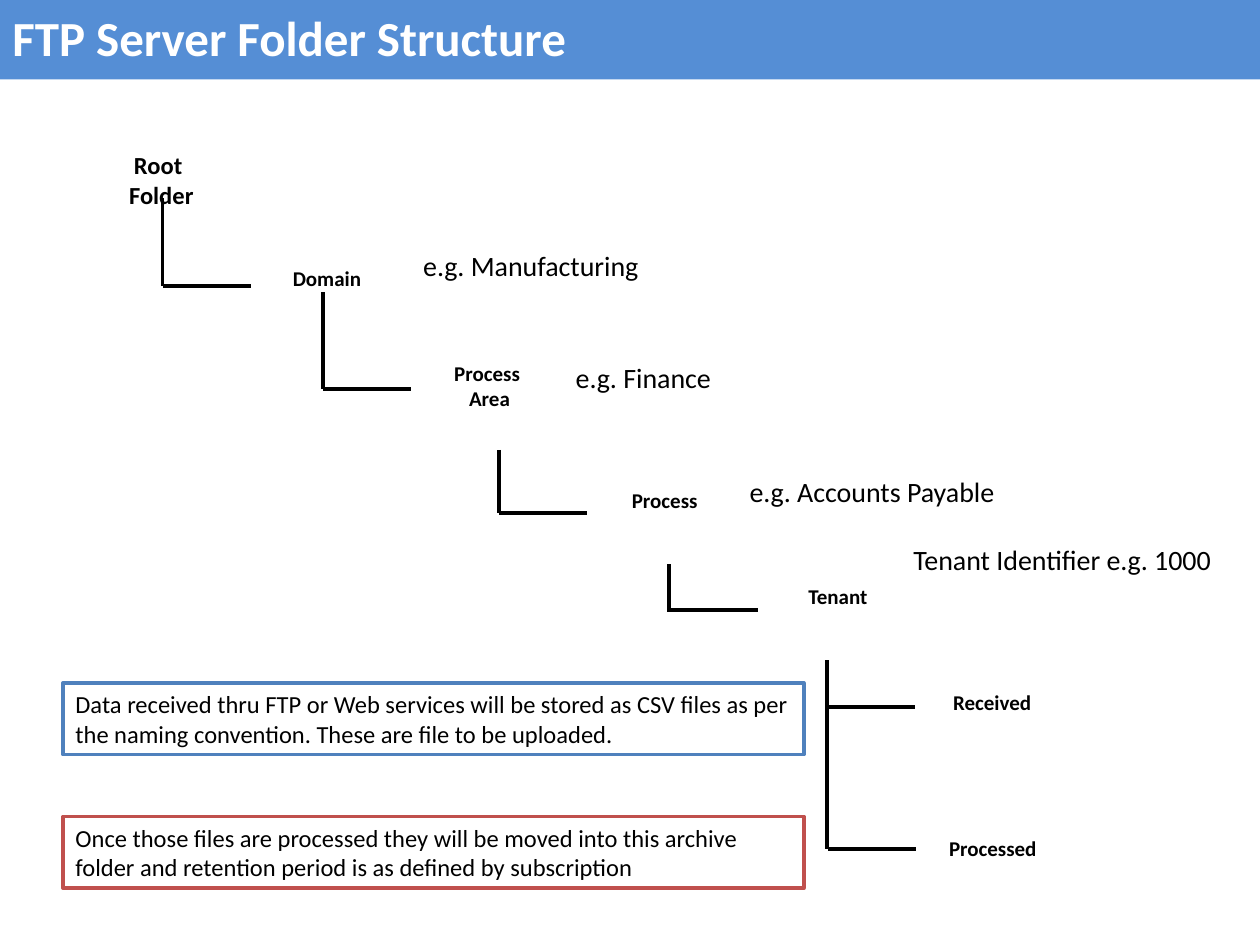
from dataclasses import dataclass

from lxml.etree import SubElement
from pptx import Presentation
from pptx.dml.color import RGBColor
from pptx.enum.shapes import MSO_CONNECTOR as Connector, MSO_SHAPE as Shape
from pptx.enum.text import MSO_ANCHOR as Anchor, PP_ALIGN as Align
from pptx.oxml.ns import qn
from pptx.util import Inches, Pt

# The slide is a grid of square cells
COLUMNS, ROWS = 100, 75
CELL = Inches(0.1)
ARM = 7  # columns spanned by each horizontal branch
FONT = "Calibri"
BLACK, WHITE, BLUE, RED, BANNER = "000000", "FFFFFF", "4F81BD", "C0504D", "558ED5"


@dataclass
class Box:
    text: str
    column: float
    row: float
    width: float
    height: float


@dataclass
class Branch:
    """A vertical stem with horizontal arms, each a (column, row) start."""
    column: float
    top: float
    bottom: float
    arms: list[tuple[float, float]]


def cells(*counts: float) -> list[int]:
    return [round(count * CELL) for count in counts]


def color(value: str) -> RGBColor:
    return RGBColor.from_string(value)


def write(shape, text: str, size: float, text_color: str = BLACK,
          bold: bool = False, align=Align.LEFT, wrap: bool = True) -> None:
    frame = shape.text_frame
    frame.text = text
    frame.word_wrap = wrap
    for paragraph in frame.paragraphs:
        paragraph.alignment = align
        for run in paragraph.runs:
            run.font.name, run.font.size, run.font.bold = FONT, Pt(size), bold
            run.font.color.rgb = color(text_color)


def draw_text(slide, box: Box):
    return slide.shapes.add_textbox(
        *cells(box.column, box.row, box.width, box.height))


def draw_label(slide, box: Box, size: float = 12):
    shape = draw_text(slide, box)
    write(shape, box.text, size, bold=True, align=Align.CENTER, wrap=False)
    return shape


def draw_rectangle(slide, box: Box, fill: str, line: str | None = None):
    shape = slide.shapes.add_shape(
        Shape.RECTANGLE, *cells(box.column, box.row, box.width, box.height))
    shape.shadow.inherit = False
    shape.fill.solid()
    shape.fill.fore_color.rgb = color(fill)
    if line:
        shape.line.color.rgb = color(line)
        shape.line.width = Pt(2)
    else:
        shape.line.fill.background()
    return shape


def draw_line(slide, *ends: float) -> None:
    line = slide.shapes.add_connector(Connector.STRAIGHT, *cells(*ends))
    line.line.color.rgb = color(BLACK)
    line.line.width = Pt(2.25)
    SubElement(line._element.spPr, qn("a:effectLst"))


def draw_branch(slide, branch: Branch) -> None:
    draw_line(slide, branch.column, branch.top, branch.column, branch.bottom)
    for column, row in branch.arms:
        draw_line(slide, column, row, column + ARM, row)


ROOT = Box("Root\nFolder", 9.2, 11.1, 7.2, 6.1)
FOLDERS = [
    Box("Domain", 22.2, 20.6, 7.5, 3),
    Box("Process \nArea", 35, 28.1, 7.7, 5.6),
    Box("Process ", 49.1, 38.2, 7.7, 3),
    Box("Tenant", 63.1, 45.8, 6.8, 3.1),
    Box("Received", 74.6, 54.2, 8.3, 3),
    Box("Processed", 74.3, 65.8, 9, 3),
]
BRANCHES = [
    Branch(12.9, 15.7, 22.7, [(12.9, 22.7)]),
    Branch(25.6, 23.2, 30.9, [(25.6, 30.9)]),
    Branch(39.6, 35.7, 40.7, [(39.6, 40.7)]),
    Branch(53.1, 44.8, 48.6, [(53.2, 48.4)]),
    Branch(65.6, 52.4, 67.4, [(65.6, 56.1), (65.7, 67.4)]),
]
EXAMPLES = [
    Box("e.g. Manufacturing", 32.6, 19.2, 24.2, 3.7),
    Box("e.g. Finance", 44.7, 28.1, 24.2, 3.7),
    Box("e.g. Accounts Payable", 58.5, 37.2, 24.2, 3.7),
    Box("Tenant Identifier e.g. 1000", 71.5, 42.6, 28.5, 3.7),
]
NOTES = [
    (Box("Data received thru FTP or Web services will be stored as CSV files as "
         "per the naming convention. These are file to be uploaded.",
         5, 54.2, 58.8, 5.7), BLUE),
    (Box("Once those files are processed they will be moved into this archive "
         "folder and retention period is as defined by subscription",
         5, 64.8, 58.8, 5.7), RED),
]


def main() -> None:
    presentation = Presentation()
    presentation.slide_width, presentation.slide_height = cells(COLUMNS, ROWS)
    slide = presentation.slides.add_slide(presentation.slide_layouts[6])

    # Title banner
    title = Box("FTP Server Folder Structure", 0, -0.4, COLUMNS, 6.7)
    banner = draw_rectangle(slide, title, BANNER)
    write(banner, title.text, 28, WHITE, bold=True)
    banner.text_frame.vertical_anchor = Anchor.MIDDLE

    # Folder tree
    for branch in BRANCHES:
        draw_branch(slide, branch)
    root = draw_label(slide, ROOT, 14)
    space = root.text_frame.paragraphs[0].add_run()
    space.text = " "
    space.font.name, space.font.size = FONT, Pt(16)
    for folder in FOLDERS:
        draw_label(slide, folder)

    # Example names beside the folders
    for example in EXAMPLES:
        write(draw_text(slide, example), example.text, 16)

    # Notes on the two lowest folders
    for note, outline in NOTES:
        shape = draw_rectangle(slide, note, WHITE, outline)
        write(shape, note.text, 14)
        shape.text_frame.vertical_anchor = Anchor.TOP

    presentation.save("out.pptx")


if __name__ == "__main__":
    main()
